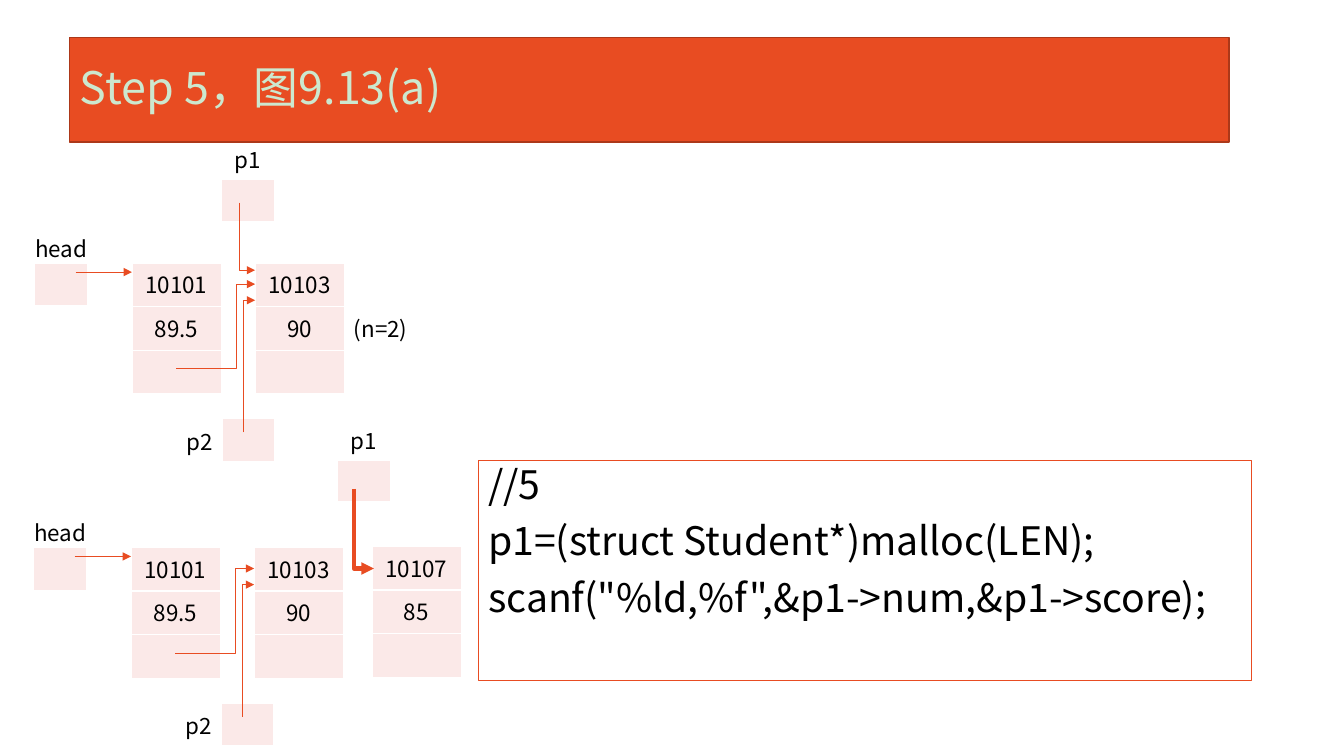
from lxml import etree
from pptx import Presentation
from pptx.dml.color import RGBColor
from pptx.enum.shapes import MSO_CONNECTOR
from pptx.enum.text import MSO_ANCHOR, PP_ALIGN
from pptx.oxml.ns import qn
from pptx.util import Pt

STRAIGHT = MSO_CONNECTOR.STRAIGHT
MIDDLE, BOTTOM = MSO_ANCHOR.MIDDLE, MSO_ANCHOR.BOTTOM
LEFT, CENTER, RIGHT = PP_ALIGN.LEFT, PP_ALIGN.CENTER, PP_ALIGN.RIGHT

FONT = "Noto Sans CJK SC"
ORANGE, RUST, PINK = "E84C22", "AC3819", "FBE9E8"
MINT, BLACK, WHITE = "CCE8CF", "000000", "FFFFFF"
NO_GRID_STYLE = "{2D5ABB26-0587-4C30-8999-92F81FD0307C}"
CELL_SIZE = 16
BOX_H, GAP_H, NODE_W, NODE_ROW_H = 29.5, 5.8, 63.4, 31.2
CODE = [
    "//5",
    "p1=(struct Student*)malloc(LEN);",
    'scanf("%ld,%f",&p1->num,&p1->score);',
]


def rgb(color):
    """Return the colour for a hex string."""
    return RGBColor.from_string(color)


def add_run(p, text, size, color):
    """Add one formatted run to a paragraph."""
    r = p.add_run()
    r.text = text
    r.font.size = Pt(size)
    r.font.name = FONT
    r.font.color.rgb = rgb(color)
    etree.SubElement(r.font._element, qn("a:ea"), typeface=FONT)


def style_line(line, color, width):
    """Set the colour and width of a line."""
    line.color.rgb = rgb(color)
    line.width = Pt(width)


def add_title(s, text):
    """Place and fill the title placeholder."""
    sp = s.shapes.title
    sp.left, sp.top, sp.width, sp.height = Pt(49.7), Pt(26.6), Pt(828.2), Pt(75)
    sp.fill.solid()
    sp.fill.fore_color.rgb = rgb(ORANGE)
    style_line(sp.line, RUST, 1)
    tf = sp.text_frame
    tf.vertical_anchor = MIDDLE
    p = tf.paragraphs[0]
    p.alignment = LEFT
    p.line_spacing = 0.9
    add_run(p, text, 32, MINT)


def add_code(s, lines):
    """Add the outlined box with the code lines."""
    sp = s.shapes.add_textbox(Pt(341.7), Pt(329), Pt(552.2), Pt(157.3))
    style_line(sp.line, ORANGE, 0.75)
    tf = sp.text_frame
    tf.word_wrap = True
    for i, text in enumerate(lines):
        p = tf.add_paragraph() if i else tf.paragraphs[0]
        p.line_spacing = 0.9
        if i:
            p.space_before = Pt(10)
        add_run(p, text, 28, BLACK)


def add_borders(cell, sides):
    """Add white borders on the given sides of a cell."""
    tc_pr = cell._tc.get_or_add_tcPr()
    for i, side in enumerate(sides):
        ln = etree.Element(qn(f"a:ln{side}"), w=str(Pt(1)))
        fill = etree.SubElement(ln, qn("a:solidFill"))
        etree.SubElement(fill, qn("a:srgbClr"), val=WHITE)
        tc_pr.insert(i, ln)


def fill_cell(cell, text, align, filled, sides):
    """Write one cell, with fill and borders if it is a filled one."""
    if filled:
        cell.fill.solid()
        cell.fill.fore_color.rgb = rgb(PINK)
        add_borders(cell, sides)
    else:
        cell.fill.background()
    p = cell.text_frame.paragraphs[0]
    p.alignment = align
    if text:
        add_run(p, text, CELL_SIZE, BLACK)
    else:
        cell.margin_top = cell.margin_bottom = Pt(0)
        etree.SubElement(p._p, qn("a:endParaRPr"), sz="100")


def add_grid(s, x, y, widths, heights, rows, sides):
    """Add a plain table from rows of (text, alignment, filled) cells."""
    frame = s.shapes.add_table(len(rows), len(widths), Pt(x), Pt(y),
                               Pt(sum(widths)), Pt(sum(heights)))
    table = frame.table
    table.first_row = table.horz_banding = False
    table._tbl.tblPr.find(qn("a:tableStyleId")).text = NO_GRID_STYLE
    for column, width in zip(table.columns, widths):
        column.width = Pt(width)
    for i, (row, height) in enumerate(zip(rows, heights)):
        table.rows[i].height = Pt(height)
        for j, content in enumerate(row):
            fill_cell(table.cell(i, j), *content, sides)
    return table


def add_pointer(s, x, y, name, width, sides, gaps=()):
    """Add a pointer box with its name above it and open rows below."""
    rows = [[(name, CENTER, False)], [("", CENTER, True)]]
    rows += [[("", CENTER, False)] for _ in gaps]
    table = add_grid(s, x, y, [width], [BOX_H, BOX_H, *gaps], rows, sides)
    label = table.cell(0, 0)
    label.vertical_anchor = BOTTOM
    return label


def add_head(s, x, y):
    """Add the head pointer, whose label has no margins."""
    label = add_pointer(s, x, y, "head", 37.4, "R", [GAP_H, BOX_H] * 2)
    label.margin_left = label.margin_right = Pt(0)
    label.margin_top = label.margin_bottom = Pt(0)


def add_node(s, x, y, num, score, note=""):
    """Add a three-row list node with an optional note on its right."""
    rows = [[(text, CENTER, True)] for text in (num, score, "")]
    widths = [NODE_W]
    if note:
        widths.append(NODE_W)
        for row, text in zip(rows, ("", note, "")):
            row.append((text, LEFT, False))
    add_grid(s, x, y, widths, [NODE_ROW_H] * 3, rows, "LTB")


def finish_arrow(sp, width):
    """Give a path its line, arrowhead and empty effect list."""
    style_line(sp.line, ORANGE, width)
    etree.SubElement(sp.line._get_or_add_ln(), qn("a:tailEnd"), type="triangle")
    etree.SubElement(sp._element.spPr, qn("a:effectLst"))


def add_arrow(s, x1, x2, y):
    """Add a horizontal arrow."""
    sp = s.shapes.add_connector(STRAIGHT, Pt(x1), Pt(y), Pt(x2), Pt(y))
    finish_arrow(sp, 0.5)


def add_bent_arrow(s, points, width=0.5):
    """Add an arrow with square bends through the points."""
    points = [(Pt(x), Pt(y)) for x, y in points]
    builder = s.shapes.build_freeform(*points[0])
    builder.add_line_segments(points[1:], close=False)
    sp = builder.convert_to_shape()
    sp.fill.background()
    finish_arrow(sp, width)


def add_list(s, x, y, note=""):
    """Add the two-node list with its head and p2 pointers."""
    node_x, next_x, node_y = x + 69.1, x + 157, y + 28.8
    add_grid(s, x + 94.3, y + 140.4, [39.6, 36.7], [BOX_H],
             [[("p2", RIGHT, False), ("", CENTER, True)]], "RB")
    add_head(s, x, y)
    add_node(s, node_x, node_y, "10101", "89.5")
    add_node(s, next_x, node_y, "10103", "90", note)
    add_arrow(s, x + 28.8, node_x, y + 35.3)
    add_bent_arrow(s, [(x + 100.8, y + 104.4), (x + 143.3, y + 104.4),
                       (x + 143.3, y + 43.9), (next_x, y + 43.9)])
    add_bent_arrow(s, [(x + 148.3, y + 149.8), (x + 148.3, y + 55.4),
                       (next_x, y + 55.4)])


def main():
    """Build and save the slide."""
    prs = Presentation()
    prs.slide_width, prs.slide_height = Pt(960), Pt(540)
    s = prs.slides.add_slide(prs.slide_layouts[5])
    add_title(s, "Step 5，图9.13(a)")
    add_list(s, 25.2, 159.1, "(n=2)")
    add_pointer(s, 158, 98.6, "p1", 38.2, "LRB")
    add_bent_arrow(s, [(170.9, 144.7), (170.9, 193), (182.2, 193)])
    add_list(s, 24.5, 362.2)
    add_pointer(s, 240.8, 298.8, "p1", 38.2, "LRB")
    add_node(s, 265.7, 390.2, "10107", "85")
    add_bent_arrow(s, [(252.7, 349.2), (252.7, 406.1), (267.1, 406.1)], 3)
    add_code(s, CODE)
    prs.save("out.pptx")


if __name__ == "__main__":
    main()
